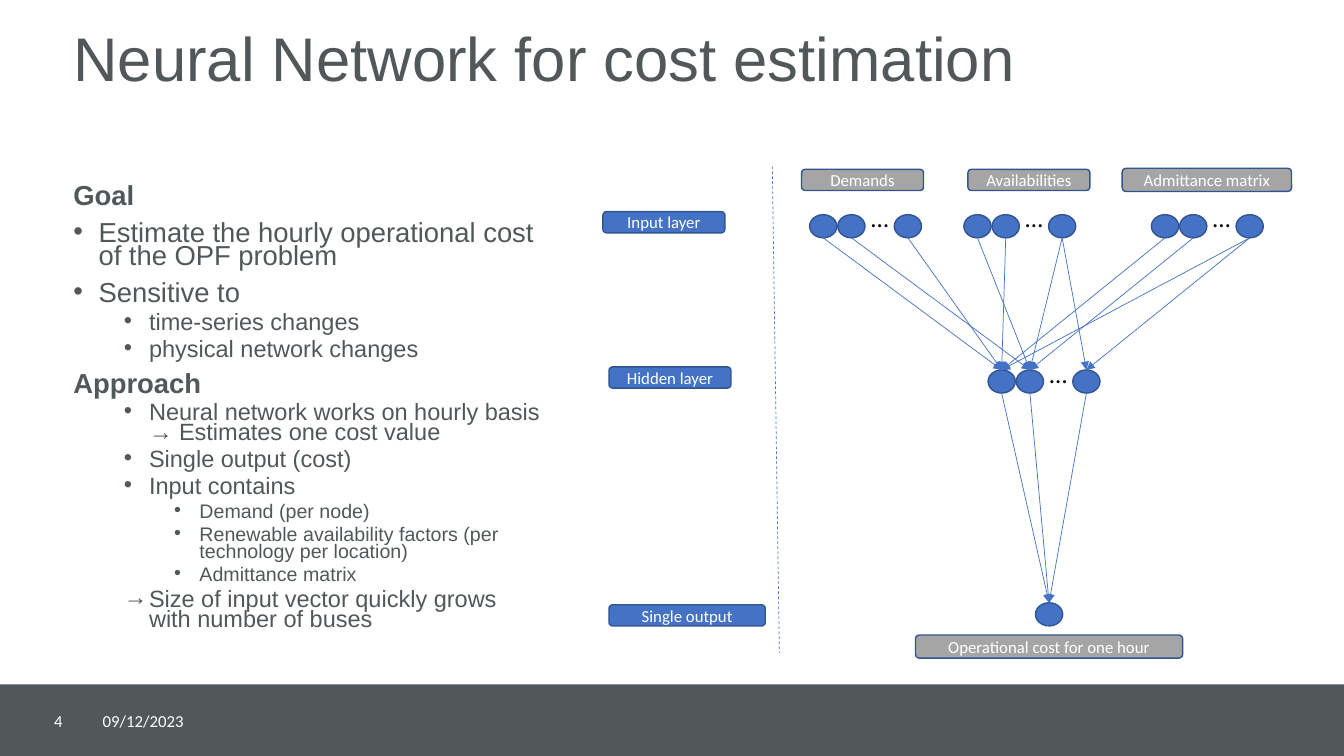
from dataclasses import dataclass

from lxml.etree import SubElement
from pptx import Presentation
from pptx.dml.color import RGBColor
from pptx.enum.dml import MSO_LINE
from pptx.enum.shapes import MSO_CONNECTOR, MSO_SHAPE
from pptx.enum.text import MSO_ANCHOR, PP_ALIGN
from pptx.oxml.ns import qn
from pptx.util import Inches, Pt

SLATE, BLUE, OUTLINE, GREY = "52575A", "4472C4", "325491", "A5A5A5"
WHITE, BLACK = "FFFFFF", "000000"
NODE_WIDTH, NODE_HEIGHT = 0.27, 0.23
NODE_OFFSETS = (0, 0.28, 0.84)
INPUT_TOP, HIDDEN_TOP, OUTPUT_TOP = 2.13, 3.67, 5.98


@dataclass
class Bullet:
    text: str
    level: int = 0
    symbol: str = "•"


@dataclass
class Label:
    text: str
    left: float
    top: float
    width: float
    height: float
    fill: str


@dataclass
class Layer:
    left: float
    top: float

    def center(self, index: int) -> float:
        return self.left + NODE_OFFSETS[index] + NODE_WIDTH / 2


OUTLINE_TEXT = [
    Bullet("Goal", symbol=""),
    Bullet("Estimate the hourly operational cost of the OPF problem"),
    Bullet("Sensitive to"),
    Bullet("time-series changes", 1),
    Bullet("physical network changes", 1),
    Bullet("Approach", symbol=""),
    Bullet("Neural network works on hourly basis → Estimates one cost value", 1),
    Bullet("Single output (cost)", 1),
    Bullet("Input contains", 1),
    Bullet("Demand (per node)", 2),
    Bullet("Renewable availability factors (per technology per location)", 2),
    Bullet("Admittance matrix", 2),
    Bullet("Size of input vector quickly grows with number of buses", 1, "→"),
]
LEVEL_SIZES = (19.6, 16.8, 14)

LABELS = [
    Label("Input layer", 5.98, 2.1, 1.21, 0.21, BLUE),
    Label("Hidden layer", 6.04, 3.64, 1.21, 0.21, BLUE),
    Label("Single output", 6.04, 6, 1.55, 0.21, BLUE),
    Label("Demands", 7.95, 1.68, 1.21, 0.21, GREY),
    Label("Availabilities", 9.6, 1.68, 1.21, 0.21, GREY),
    Label("Admittance matrix", 11.13, 1.67, 1.68, 0.23, GREY),
    Label("Operational cost for one hour", 9.08, 6.3, 2.65, 0.23, GREY),
]

DEMANDS = Layer(8.03, INPUT_TOP)
AVAILABILITIES = Layer(9.56, INPUT_TOP)
ADMITTANCES = Layer(11.42, INPUT_TOP)
HIDDEN = Layer(9.8, HIDDEN_TOP)
OUTPUT = Layer(10.27, OUTPUT_TOP)

# Input layer, its node, and the hidden node it feeds
INPUT_LINKS = [
    (DEMANDS, 0, 0), (DEMANDS, 2, 0), (AVAILABILITIES, 1, 0),
    (ADMITTANCES, 0, 0), (ADMITTANCES, 2, 0),
    (DEMANDS, 1, 1), (AVAILABILITIES, 0, 1), (AVAILABILITIES, 2, 1),
    (ADMITTANCES, 1, 1),
    (ADMITTANCES, 2, 2), (AVAILABILITIES, 2, 2),
]

presentation = Presentation()
presentation.slide_width = Inches(13.33)
presentation.slide_height = Inches(7.5)
slide = presentation.slides.add_slide(presentation.slide_layouts[6])


def color(value: str) -> RGBColor:
    return RGBColor.from_string(value)


def add_run(paragraph, text: str, size: float, font: str, fill: str, bold=False) -> None:
    run = paragraph.add_run()
    run.text = text
    run.font.size = Pt(size)
    run.font.name = font
    run.font.bold = bold
    run.font.color.rgb = color(fill)


def add_text_box(left: float, top: float, width: float, height: float,
                 anchor=MSO_ANCHOR.TOP, wrap=True):
    shape = slide.shapes.add_textbox(Inches(left), Inches(top), Inches(width), Inches(height))
    shape.text_frame.word_wrap = wrap
    shape.text_frame.vertical_anchor = anchor
    return shape.text_frame


def add_block(kind, left: float, top: float, width: float, height: float,
              fill: str, line: str = ""):
    shape = slide.shapes.add_shape(kind, Inches(left), Inches(top), Inches(width), Inches(height))
    shape.shadow.inherit = False
    shape.fill.solid()
    shape.fill.fore_color.rgb = color(fill)
    if line:
        shape.line.color.rgb = color(line)
        shape.line.width = Pt(1)
    else:
        shape.line.fill.background()
    return shape


def add_label(label: Label) -> None:
    shape = add_block(MSO_SHAPE.ROUNDED_RECTANGLE, label.left, label.top,
                      label.width, label.height, label.fill, OUTLINE)
    shape.text_frame.word_wrap = True
    shape.text_frame.vertical_anchor = MSO_ANCHOR.MIDDLE
    paragraph = shape.text_frame.paragraphs[0]
    paragraph.alignment = PP_ALIGN.CENTER
    add_run(paragraph, label.text, 12, "Calibri", WHITE)


def add_node(left: float, top: float) -> None:
    add_block(MSO_SHAPE.OVAL, left, top, NODE_WIDTH, NODE_HEIGHT, BLUE, OUTLINE)


def add_layer(layer: Layer) -> None:
    for offset in NODE_OFFSETS:
        add_node(layer.left + offset, layer.top)
    frame = add_text_box(layer.left + 0.47, layer.top - 0.17, 0.45, 0.4,
                         MSO_ANCHOR.MIDDLE, wrap=False)
    frame.paragraphs[0].alignment = PP_ALIGN.CENTER
    add_run(frame.paragraphs[0], "…", 18, "Calibri", BLACK)


def add_line(x1: float, y1: float, x2: float, y2: float, arrow=True) -> None:
    connector = slide.shapes.add_connector(
        MSO_CONNECTOR.STRAIGHT, Inches(x1), Inches(y1), Inches(x2), Inches(y2))
    connector.line.color.rgb = color(BLUE)
    connector.line.width = Pt(0.5)
    properties = connector._element.spPr
    if arrow:
        SubElement(properties.find(qn("a:ln")), qn("a:tailEnd"), type="triangle")
    else:
        connector.line.dash_style = MSO_LINE.DASH
    SubElement(properties, qn("a:effectLst"))


# Footer
add_block(MSO_SHAPE.RECTANGLE, 0, 6.79, 13.33, 0.71, SLATE)
date = add_text_box(0.92, 6.95, 1.06, 0.4, MSO_ANCHOR.MIDDLE)
add_run(date.paragraphs[0], "09/12/2023", 12, "Calibri", WHITE)
number = add_text_box(0.19, 6.95, 0.53, 0.4, MSO_ANCHOR.MIDDLE)
number.paragraphs[0].alignment = PP_ALIGN.RIGHT
add_run(number.paragraphs[0], "4", 12, "Calibri", WHITE)

# Title
title = add_text_box(0.63, 0.23, 12.07, 1.26)
title.paragraphs[0].line_spacing = 0.9
add_run(title.paragraphs[0], "Neural Network for cost estimation", 44, "Arial", SLATE)

# Goal and approach
body = add_text_box(0.63, 1.81, 4.84, 4.88)
for position, bullet in enumerate(OUTLINE_TEXT):
    paragraph = body.add_paragraph() if position else body.paragraphs[0]
    paragraph.level = bullet.level
    paragraph.line_spacing = 0.7
    if position:
        paragraph.space_before = Pt(5 if bullet.level else 10)
    if bullet.symbol:
        properties = paragraph._p.get_or_add_pPr()
        properties.set("marL", str(Inches(0.25 + 0.5 * bullet.level)))
        properties.set("indent", str(Inches(-0.25)))
        SubElement(properties, qn("a:buFont"), typeface="Arial")
        SubElement(properties, qn("a:buChar"), char=bullet.symbol)
    add_run(paragraph, bullet.text, LEVEL_SIZES[bullet.level], "Arial", SLATE,
            bold=not bullet.symbol)

# Network nodes and labels
for layer in (DEMANDS, AVAILABILITIES, ADMITTANCES, HIDDEN):
    add_layer(layer)
add_node(OUTPUT.left, OUTPUT.top)
for label in LABELS:
    add_label(label)

# Divider and links between layers
add_line(7.66, 1.65, 7.73, 6.48, arrow=False)
for layer, source, target in INPUT_LINKS:
    add_line(layer.center(source), INPUT_TOP + NODE_HEIGHT, HIDDEN.center(target), HIDDEN_TOP)
for source in range(len(NODE_OFFSETS)):
    add_line(HIDDEN.center(source), HIDDEN_TOP + NODE_HEIGHT, OUTPUT.center(0), OUTPUT_TOP)

presentation.save("out.pptx")
